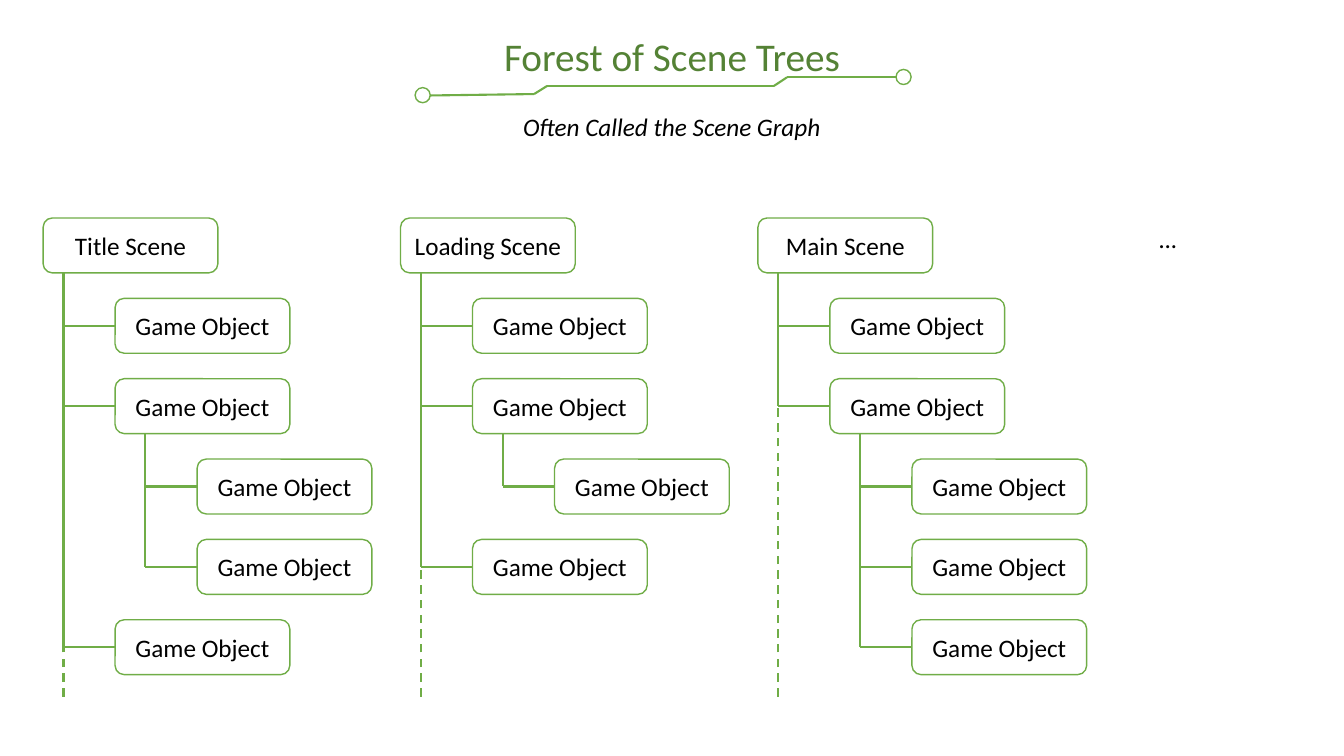
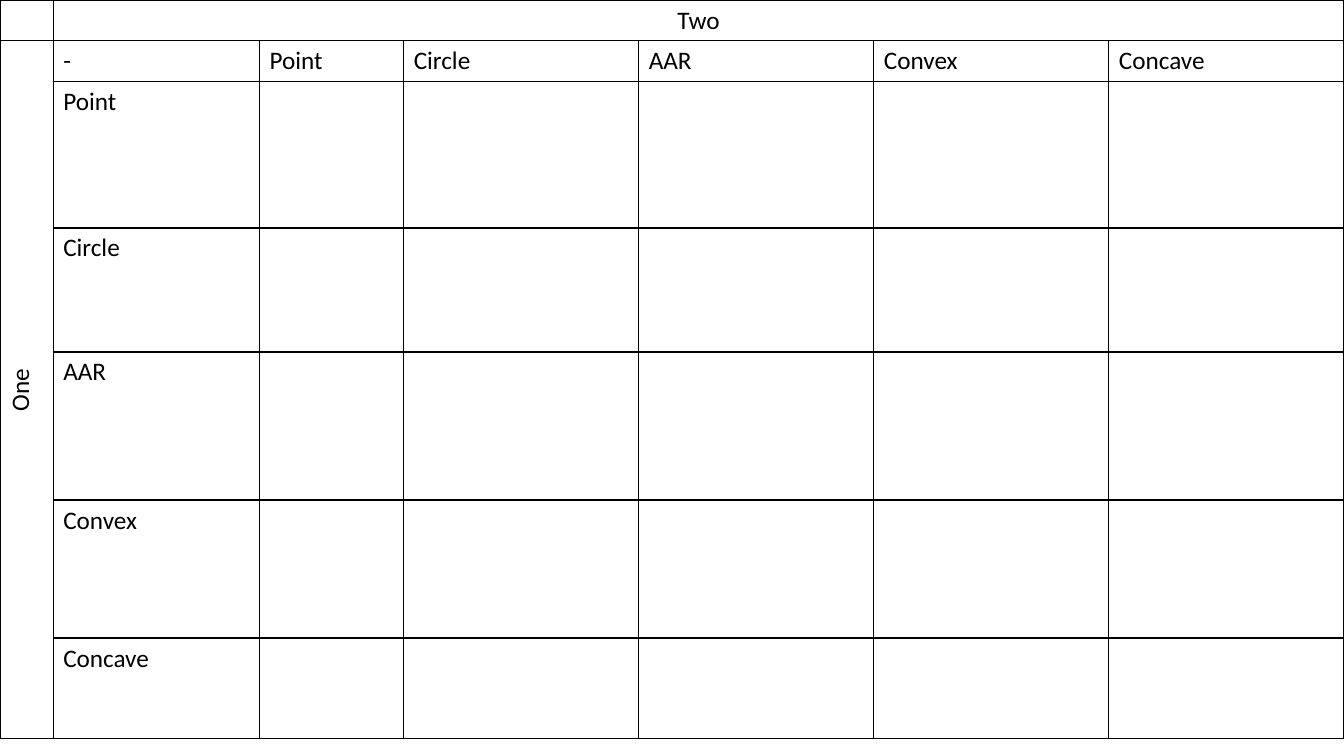
from itertools import pairwise

from lxml import etree
from pptx import Presentation
from pptx.dml.color import RGBColor
from pptx.enum.dml import MSO_LINE
from pptx.enum.shapes import MSO_CONNECTOR, MSO_SHAPE
from pptx.enum.text import MSO_ANCHOR, MSO_AUTO_SIZE, PP_ALIGN
from pptx.oxml.ns import qn
from pptx.util import Pt

SLIDE_W, SLIDE_H = 960, 540
FONT = "Calibri"
COLORS = {"title": "548235", "line": "70AD47", "text": "000000", "paper": "FFFFFF"}

NODE_W, NODE_H, ROW_PITCH = 124.8, 39.2, 57.4
NODE_INDENTS = [0, 51.4, 110]
TRUNK_INDENTS = [14.6, 73]

# Each scene with the depth of its game objects, from top to bottom
SCENES = [
    ("Title Scene", [1, 1, 2, 2, 1]),
    ("Loading Scene", [1, 1, 2, 1]),
    ("Main Scene", [1, 1, 2, 2, 2]),
]
SHAPE_KINDS = ["Point", "Circle", "AAR", "Convex", "Concave"]


def rgb(color):
    return RGBColor.from_string(COLORS[color])


def write(frame, text, size=18, color="text", italic=False, align=PP_ALIGN.CENTER):
    frame.text = text
    paragraph = frame.paragraphs[0]
    paragraph.alignment = align
    font = paragraph.runs[0].font
    font.name, font.size, font.italic = FONT, Pt(size), italic
    font.color.rgb = rgb(color)


def add_label(shapes, box, text, **text_format):
    frame = shapes.add_textbox(*map(Pt, box)).text_frame
    frame.word_wrap = True
    write(frame, text, **text_format)


def add_outlined(shapes, kind, box):
    shape = shapes.add_shape(kind, *map(Pt, box))
    shape.shadow.inherit = False
    shape.fill.solid()
    shape.fill.fore_color.rgb = rgb("paper")
    shape.line.color.rgb = rgb("line")
    shape.line.width = Pt(1)
    return shape


def add_line(shapes, start, end, dashed=False):
    line = shapes.add_connector(MSO_CONNECTOR.STRAIGHT, *map(Pt, (*start, *end)))
    line.line.color.rgb = rgb("line")
    line.line.width = Pt(1.5)
    if dashed:
        line.line.dash_style = MSO_LINE.DASH
    etree.SubElement(line._element.spPr, qn("a:effectLst"))


def add_title(slide, text, top, height):
    title = slide.shapes.title
    title.left, title.top, title.width, title.height = map(Pt, (0, top, SLIDE_W, height))
    title.text_frame.auto_size = MSO_AUTO_SIZE.NONE
    write(title.text_frame, text, size=28, color="title")


def add_title_ornament(slide, left, top):
    """Stepped line with a ring at each end."""
    shapes = slide.shapes.add_group_shape().shapes
    steps = [(3.6, 18.7), (85, 17.6), (94.3, 11.8), (256.3, 11.8), (265.7, 5.6), (347, 5.6)]
    points = [(left + x, top + y) for x, y in steps]
    for start, end in pairwise(points):
        add_line(shapes, start, end)
    ring = 10.8
    for x, y in ((0, 13), (343.5, 0)):
        add_outlined(shapes, MSO_SHAPE.OVAL, (left + x, top + y, ring, ring))


def add_node(shapes, left, top, text):
    node = add_outlined(shapes, MSO_SHAPE.ROUNDED_RECTANGLE, (left, top, NODE_W, NODE_H))
    node.text_frame.vertical_anchor = MSO_ANCHOR.MIDDLE
    node.text_frame.word_wrap = True
    write(node.text_frame, text)


def add_scene_tree(slide, left, top, bottom, scene, depths):
    """Scene box with its game objects below; a dashed trunk runs on to bottom."""
    shapes = slide.shapes.add_group_shape().shapes
    add_node(shapes, left, top, scene)
    latest_at_depth = {0: 0}
    last_child = {}
    for row, depth in enumerate(depths, start=1):
        node_left, node_top = left + NODE_INDENTS[depth], top + row * ROW_PITCH
        trunk_x, middle = left + TRUNK_INDENTS[depth - 1], node_top + NODE_H / 2
        add_node(shapes, node_left, node_top, "Game Object")
        add_line(shapes, (trunk_x, middle), (node_left, middle))
        latest_at_depth[depth] = row
        last_child[latest_at_depth[depth - 1]] = (trunk_x, middle)
    for parent_row, (trunk_x, middle) in last_child.items():
        parent_bottom = top + parent_row * ROW_PITCH + NODE_H
        add_line(shapes, (trunk_x, parent_bottom), (trunk_x, middle))
    trunk_x, middle = last_child[0]
    add_line(shapes, (trunk_x, bottom), (trunk_x, middle), dashed=True)


def build_scene_slide(prs):
    slide = prs.slides.add_slide(prs.slide_layouts[5])
    add_title(slide, "Forest of Scene Trees", 19.6, 41)
    add_title_ornament(slide, 296.5, 49.6)
    add_label(slide.shapes, (350.4, 75.6, 259, 29), "Often Called the Scene Graph", italic=True)
    first_left, tree_pitch, top = 30.8, 255.3, 155.7
    for column, (scene, depths) in enumerate(SCENES):
        add_scene_tree(slide, first_left + column * tree_pitch, top, 497.6, scene, depths)
    add_label(slide.shapes, (796.3, top, 76.3, 29), "…", italic=True)


def style_cell(cell):
    cell.fill.background()
    properties = cell._tc.get_or_add_tcPr()
    for position, side in enumerate(("lnL", "lnR", "lnT", "lnB")):
        border = etree.Element(qn(f"a:{side}"), w=str(Pt(1)))
        fill = etree.SubElement(border, qn("a:solidFill"))
        etree.SubElement(fill, qn("a:srgbClr"), val=COLORS["text"])
        properties.insert(position, border)


def build_collision_slide(prs):
    slide = prs.slides.add_slide(prs.slide_layouts[6])
    widths = [38, 147.4, 103] + [167.9] * 4
    heights = [29.1, 29.1, 104.4, 88.6, 105.8, 98.6, 72]
    box = (0, 0, sum(widths), sum(heights))
    table = slide.shapes.add_table(len(heights), len(widths), *map(Pt, box)).table
    table.first_row = table.horz_banding = False
    for column, width in zip(table.columns, widths):
        column.width = Pt(width)
    for row, height in zip(table.rows, heights):
        row.height = Pt(height)
    for cell in table.iter_cells():
        style_cell(cell)

    second_heading, first_heading = table.cell(0, 1), table.cell(1, 0)
    second_heading.merge(table.cell(0, len(widths) - 1))
    first_heading.merge(table.cell(len(heights) - 1, 0))
    write(second_heading.text_frame, "Two")
    write(first_heading.text_frame, "One")
    first_heading.vertical_anchor = MSO_ANCHOR.MIDDLE
    first_heading._tc.get_or_add_tcPr().set("vert", "vert270")

    write(table.cell(1, 1).text_frame, "-", align=PP_ALIGN.LEFT)
    for offset, kind in enumerate(SHAPE_KINDS, start=2):
        for cell in (table.cell(1, offset), table.cell(offset, 1)):
            write(cell.text_frame, kind, align=PP_ALIGN.LEFT)


def main():
    prs = Presentation()
    prs.slide_width, prs.slide_height = Pt(SLIDE_W), Pt(SLIDE_H)
    build_scene_slide(prs)
    build_collision_slide(prs)
    prs.save("out.pptx")


if __name__ == "__main__":
    main()
